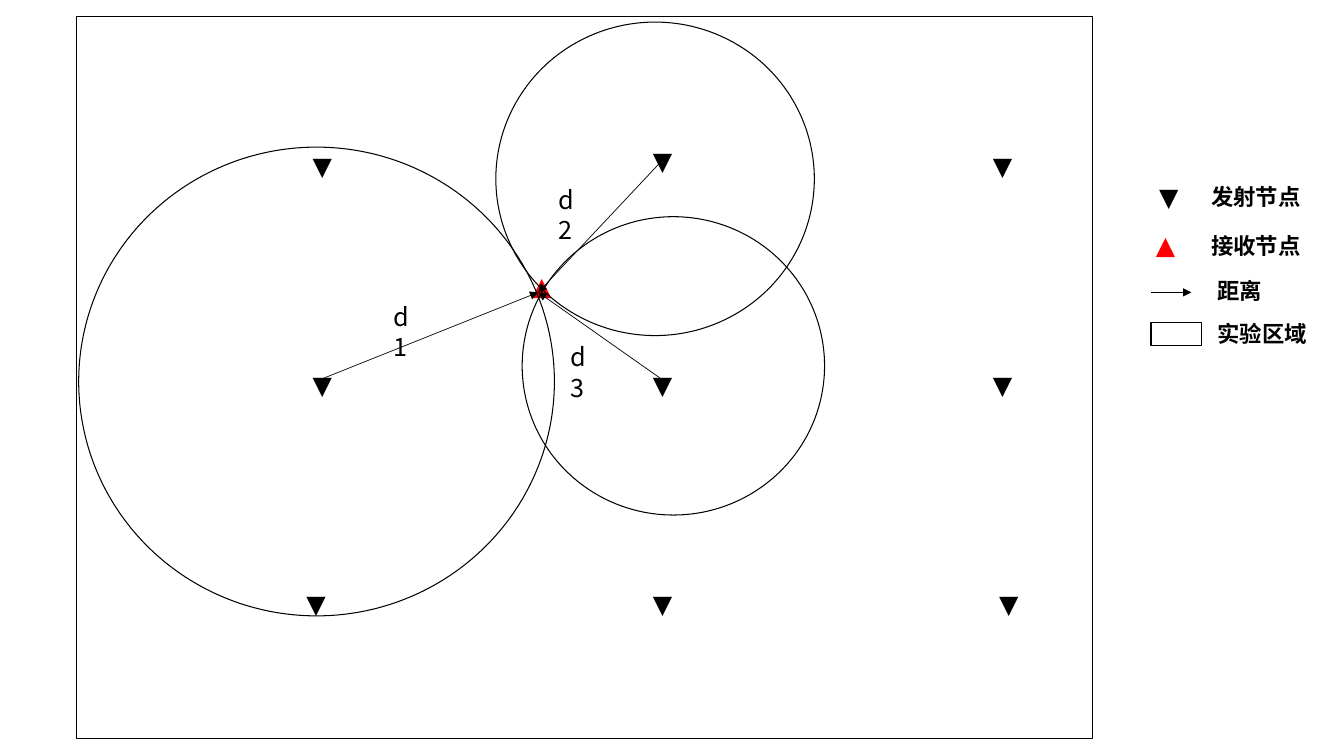
import pptx
import pptx.util
import pptx.dml.color
import pptx.enum.shapes
import pptx.enum.text
import pptx.oxml
import pptx.oxml.ns
from dataclasses import dataclass

Pt = pptx.util.Pt
Kind = pptx.enum.shapes.MSO_SHAPE
Align = pptx.enum.text.PP_ALIGN


@dataclass
class Theme:
    ink: str = "000000"
    red: str = "FF0000"
    mark: str = "DejaVu Sans"
    font: str = "Noto Sans CJK SC"
    size: float = 18
    small: float = 16
    edge: float = 0.75
    thin: float = 0.5


class Board:
    def __init__(self, slide, theme):
        self.slide = slide
        self.theme = theme

    def color(self, code):
        return pptx.dml.color.RGBColor.from_string(code)

    def shape(self, kind, *box):
        shape = self.slide.shapes.add_shape(kind, *map(Pt, box))
        shape.shadow.inherit = False
        shape.fill.background()
        shape.line.color.rgb = self.color(self.theme.ink)
        shape.line.width = Pt(self.theme.edge)

    def arrow(self, start, end):
        line = self.slide.shapes.add_connector(
            pptx.enum.shapes.MSO_CONNECTOR.STRAIGHT, *map(Pt, start + end))
        line.line.color.rgb = self.color(self.theme.ink)
        line.line.width = Pt(self.theme.thin)
        head = pptx.oxml.parse_xml(
            f'<a:tailEnd {pptx.oxml.ns.nsdecls("a")} type="triangle"/>')
        line.line._get_or_add_ln().append(head)
        line._element.spPr.append(pptx.oxml.parse_xml(
            f'<a:effectLst {pptx.oxml.ns.nsdecls("a")}/>'))

    def text(self, words, box, size, font, ink=None, bold=False,
             wrap=False, align=Align.LEFT):
        frame = self.slide.shapes.add_textbox(*map(Pt, box)).text_frame
        frame.word_wrap = wrap
        frame.text = words
        para = frame.paragraphs[0]
        para.alignment = align
        run = para.runs[0]
        run.font.size = Pt(size)
        run.font.name = font
        run.font.bold = bold
        run.font.color.rgb = self.color(ink or self.theme.ink)
        for tag in ("ea", "sym"):
            face = pptx.oxml.parse_xml(
                f'<a:{tag} {pptx.oxml.ns.nsdecls("a")} typeface="{font}"/>')
            if tag == "ea":
                run.font._element.find(
                    pptx.oxml.ns.qn("a:latin")).addnext(face)
            else:
                run.font._element.append(face)

    def sender(self, left, top):
        self.text("▼", (left, top, 32.4, 28.8), self.theme.size,
                  self.theme.mark, align=Align.CENTER)

    def target(self, left, top):
        self.text("▲", (left, top, 32.4, 28.8), self.theme.size,
                  self.theme.mark, self.theme.red, wrap=True)

    def range(self, words, left, top):
        self.text(words, (left, top, 34.5, 28.8), self.theme.size,
                  self.theme.font, wrap=True)

    def label(self, words, left, top):
        self.text(words, (left, top, 79.2, 26.6), self.theme.small,
                  self.theme.font, bold=True)


deck = pptx.Presentation()
deck.slide_width, deck.slide_height = Pt(960), Pt(540)
board = Board(deck.slides.add_slide(deck.slide_layouts[6]), Theme())

board.shape(Kind.RECTANGLE, 54.7, 11.5, 725.8, 516.2)

nudge = {(0, 2): (-4.4, 0), (1, 0): (0, -2.9), (2, 2): (4.4, 0)}
for row in range(3):
    for col in range(3):
        across, down = nudge.get((col, row), (0, 0))
        board.sender(214 + 243 * col + across, 103.5 + 156.5 * row + down)

goal = (384.5, 208.8)
board.target(373, 189.4)
links = [
    ("d1", (274.3, 211.7), (226.1, 272.2), (56.2, 105.1, 339.8, 334.8)),
    ("d3", (400.3, 240.5), (474.5, 272.2), (373, 154.8, 216, 213.1)),
    ("d2", (391.7, 128.2), (474.5, 113), (354.2, 15.8, 227.5, 223.9)),
]
for name, spot, start, ring in links:
    board.shape(Kind.OVAL, *ring)
    board.arrow(start, goal)
    board.range(name, *spot)

board.sender(818.6, 126)
board.target(818.6, 160.6)
board.arrow((822.2, 208.8), (851, 208.8))
board.shape(Kind.RECTANGLE, 822.2, 230.4, 36, 16.6)
for words, left, top in [
    ("发射节点", 858.2, 127.4),
    ("接收节点", 858.2, 162),
    ("距离", 862.6, 194.4),
    ("实验区域", 862.6, 225.4),
]:
    board.label(words, left, top)

deck.save("out.pptx")
